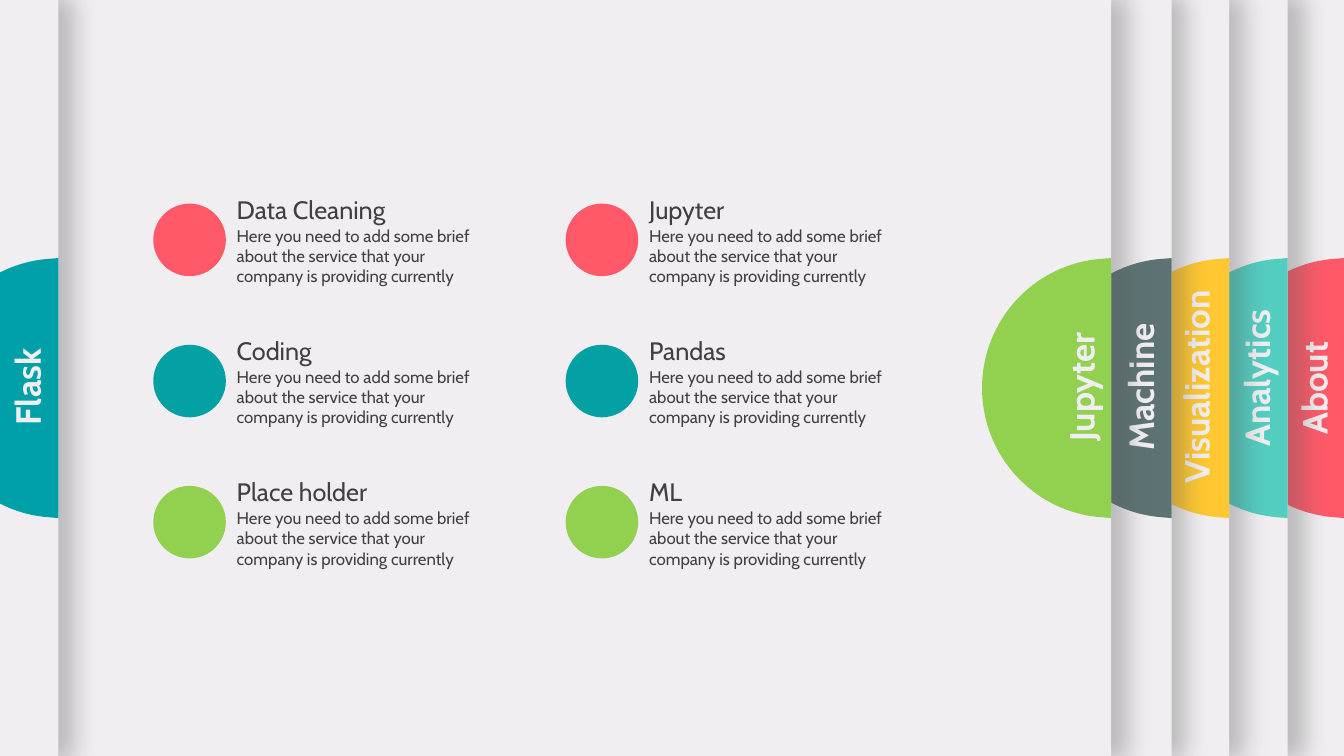
from dataclasses import dataclass

from lxml import etree
from pptx import Presentation
from pptx.dml.color import RGBColor
from pptx.enum import shapes, text
from pptx.oxml import ns
from pptx.shapes.autoshape import Shape
from pptx.shapes.shapetree import GroupShapes
from pptx.slide import Slide
from pptx.util import Inches, Pt

PAPER = RGBColor(0xF0, 0xEE, 0xF0)
INK = RGBColor(0x40, 0x40, 0x40)
SHADOW = RGBColor(0x59, 0x59, 0x59)
RED = RGBColor(0xFF, 0x59, 0x69)
MINT = RGBColor(0x52, 0xCD, 0xC0)
YELLOW = RGBColor(0xFF, 0xC7, 0x30)
SLATE = RGBColor(0x5D, 0x73, 0x73)
GREEN = RGBColor(0x92, 0xD0, 0x50)
TEAL = RGBColor(0x00, 0xA0, 0xA8)
DEEP_TEAL = RGBColor(0x03, 0xA1, 0xA4)

FONT = "Cabin"
SLIDE_WIDTH, SLIDE_HEIGHT = 13.33, 7.5
TAB_TOP, TAB_WIDTH, TAB_HEIGHT = 2.56, 1.28, 2.58
LABEL_WIDTH, LABEL_HEIGHT = 2.18, 0.52
DISC_SIZE = 0.72
GRID_LEFT, GRID_TOP = 1.52, 2.02
COLUMN_STEP, ROW_STEP = 4.09, 1.4
DESCRIPTION = ("Here you need to add some brief about the service that your "
               "company is providing currently")

TAB_CORNERS = [(TAB_WIDTH, 0), (TAB_WIDTH, TAB_HEIGHT), (1.16, 2.57),
               (0, 1.29), (1.16, 0.01)]
TAB_CURVES = [[(0.51, 2.51), (0, 1.96)], [(0, 0.62), (0.51, 0.07)]]


@dataclass
class Page:
    label: str
    left: float
    right: float
    color: RGBColor
    label_left: float
    label_top: float = 3.58


@dataclass
class Service:
    title: str
    column: int
    row: int
    color: RGBColor


PAGES = [
    Page("About", -0.32, 13.33, RED, 11.94, 3.59),
    Page("Analytics", 0.25, 12.77, MINT, 11.37, 3.49),
    Page("Visualization", 1.29, 12.19, YELLOW, 10.77),
    Page("Machine", 1.15, 11.62, SLATE, 10.22),
    Page("Jupyter", -1.95, 11.02, GREEN, 9.63),
    Page("Flask", -10.27, 0.58, TEAL, -0.82),
]

SERVICES = [
    Service("Data Cleaning", 0, 0, RED),
    Service("Coding", 0, 1, DEEP_TEAL),
    Service("Place holder", 0, 2, GREEN),
    Service("Pandas", 1, 1, DEEP_TEAL),
    Service("ML", 1, 2, GREEN),
    Service("Jupyter", 1, 0, RED),
]


def paint(shape: Shape, color: RGBColor) -> None:
    shape.shadow.inherit = False
    shape.fill.solid()
    shape.fill.fore_color.rgb = color
    shape.line.fill.background()


def cast_shadow(shape: Shape) -> None:
    effects = shape.element.spPr.find(ns.qn("a:effectLst"))
    shadow = etree.SubElement(
        effects, ns.qn("a:outerShdw"), blurRad=str(Pt(17)), dist=str(Pt(3)),
        dir="0", sx="101000", sy="101000", algn="l", rotWithShape="0")
    color = etree.SubElement(shadow, ns.qn("a:srgbClr"), val=str(SHADOW))
    etree.SubElement(color, ns.qn("a:alpha"), val="35000")


def add_text(group: GroupShapes, words: str, left: float, top: float,
             width: float, height: float, size: float, color: RGBColor) -> Shape:
    box = group.add_textbox(Inches(left), Inches(top), Inches(width), Inches(height))
    frame = box.text_frame
    frame.word_wrap = True
    frame.auto_size = text.MSO_AUTO_SIZE.SHAPE_TO_FIT_TEXT
    run = frame.paragraphs[0].add_run()
    run.text = words
    run.font.name = FONT
    run.font.size = Pt(size)
    run.font.color.rgb = color
    return box


def add_tab(group: GroupShapes, right: float, color: RGBColor) -> None:
    left = right - TAB_WIDTH
    points = [(Inches(left + x), Inches(TAB_TOP + y)) for x, y in TAB_CORNERS]
    builder = group.build_freeform(*points[0])
    builder.add_line_segments(points[1:], close=True)
    tab = builder.convert_to_shape()
    paint(tab, color)
    segments = list(tab.element.iter(ns.qn("a:lnTo")))[-len(TAB_CURVES):]
    for segment, controls in zip(segments, TAB_CURVES):
        segment.tag = ns.qn("a:cubicBezTo")
        for index, (x, y) in enumerate(controls):
            point = etree.Element(ns.qn("a:pt"), x=str(Inches(x)), y=str(Inches(y)))
            segment.insert(index, point)


def add_page(slide: Slide, page: Page) -> None:
    group = slide.shapes.add_group_shape().shapes
    sheet = group.add_shape(
        shapes.MSO_SHAPE.RECTANGLE, Inches(page.left), 0,
        Inches(page.right - page.left), Inches(SLIDE_HEIGHT))
    paint(sheet, PAPER)
    cast_shadow(sheet)
    add_tab(group, page.right, page.color)
    label = add_text(group, page.label, page.label_left, page.label_top,
                     LABEL_WIDTH, LABEL_HEIGHT, 25, PAPER)
    label.rotation = 270
    paragraph = label.text_frame.paragraphs[0]
    paragraph.alignment = text.PP_ALIGN.CENTER
    paragraph.runs[0].font.bold = True


def add_service(slide: Slide, service: Service) -> None:
    group = slide.shapes.add_group_shape().shapes
    left = GRID_LEFT + service.column * COLUMN_STEP
    top = GRID_TOP + service.row * ROW_STEP
    disc = group.add_shape(shapes.MSO_SHAPE.OVAL, Inches(left), Inches(top),
                           Inches(DISC_SIZE), Inches(DISC_SIZE))
    paint(disc, service.color)
    text_left = left + 0.73
    add_text(group, service.title, text_left, top - 0.14, 1.7, 0.4, 18, INK)
    add_text(group, DESCRIPTION, text_left, top + 0.17, 2.76, 0.71, 12, INK)


def main() -> None:
    presentation = Presentation()
    presentation.slide_width = Inches(SLIDE_WIDTH)
    presentation.slide_height = Inches(SLIDE_HEIGHT)
    slide = presentation.slides.add_slide(presentation.slide_layouts[6])
    slide.background.fill.solid()
    slide.background.fill.fore_color.rgb = PAPER
    for page in PAGES:
        add_page(slide, page)
    for service in SERVICES:
        add_service(slide, service)
    presentation.save("out.pptx")


if __name__ == "__main__":
    main()
